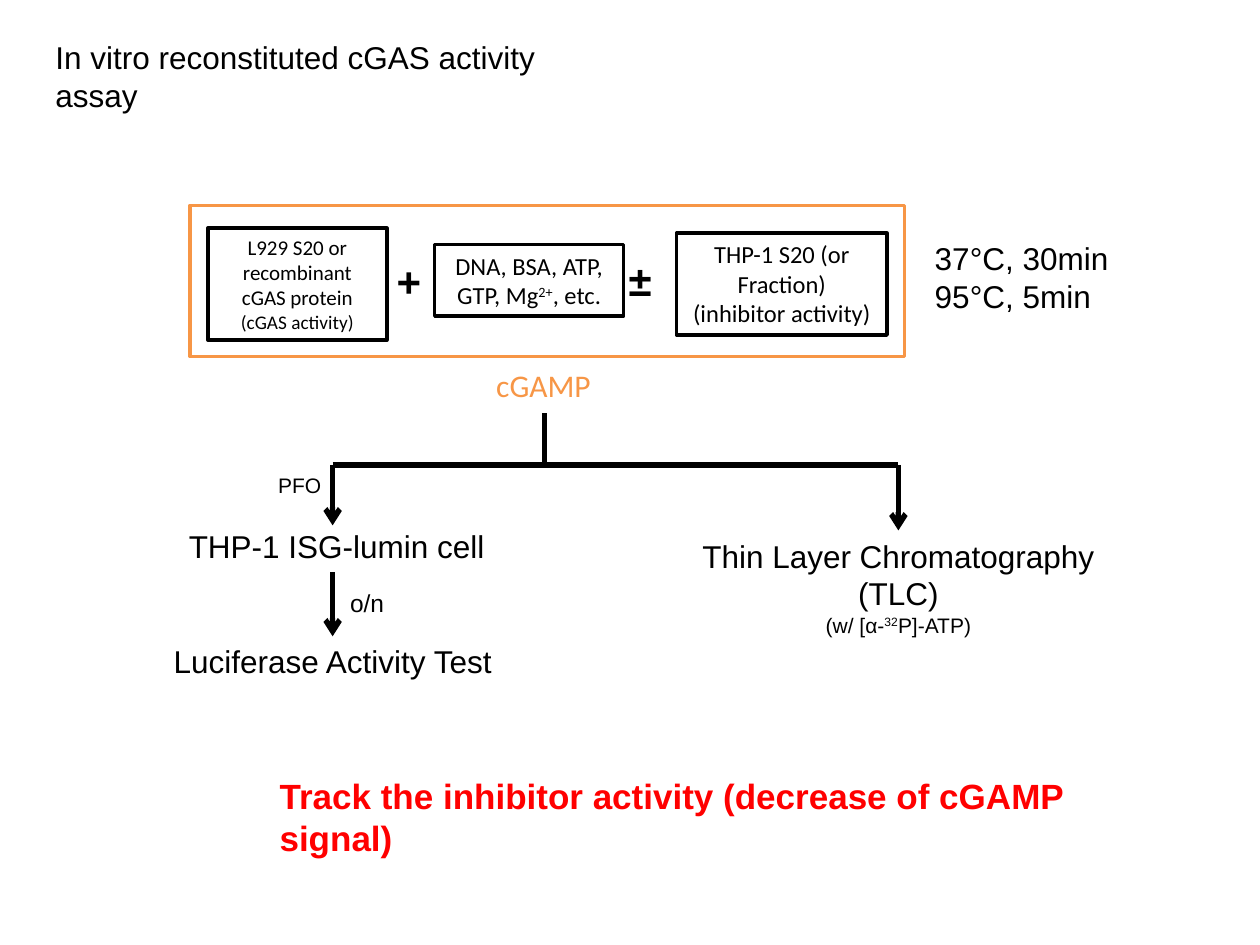
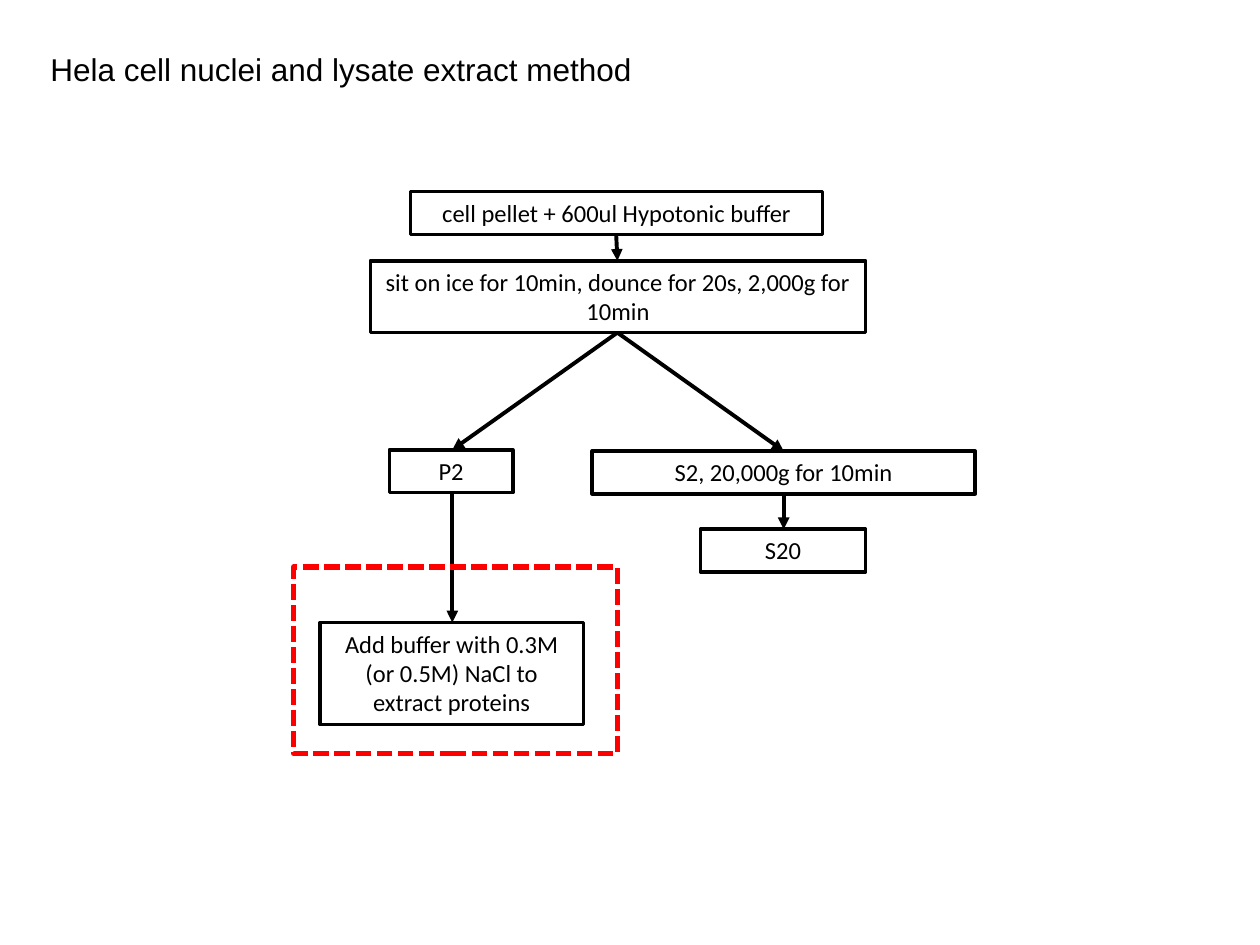
from lxml import etree
from pptx import Presentation
from pptx.dml.color import RGBColor
from pptx.enum.dml import MSO_LINE
from pptx.enum.shapes import MSO_CONNECTOR, MSO_SHAPE
from pptx.enum.text import MSO_ANCHOR, MSO_AUTO_SIZE, PP_ALIGN
from pptx.oxml.ns import qn
from pptx.util import Pt

RECTANGLE = MSO_SHAPE.RECTANGLE
STRAIGHT = MSO_CONNECTOR.STRAIGHT
DASH = MSO_LINE.SQUARE_DOT
TOP = MSO_ANCHOR.TOP
FIXED = MSO_AUTO_SIZE.NONE
LEFT, CENTER = PP_ALIGN.LEFT, PP_ALIGN.CENTER

PX = 9144  # 100 px to the inch
COLORS = {"black": "000000", "white": "FFFFFF", "orange": "F79646", "red": "FF0000"}
SUPERSCRIPT = "30000"
TITLE_ONLY = 5


def write(box, paragraphs, size=18, font="Arial", color="black", bold=False,
          align=LEFT, wrap=True):
    """Fill a box; a paragraph is a list of (text, format) spans."""
    frame = box.text_frame
    frame_format = {"word_wrap": wrap, "auto_size": FIXED, "vertical_anchor": TOP,
                    "margin_left": 10 * PX, "margin_right": 10 * PX,
                    "margin_top": 5 * PX, "margin_bottom": 5 * PX}
    for name, value in frame_format.items():
        setattr(frame, name, value)
    for index, spans in enumerate(paragraphs):
        para = frame.add_paragraph() if index else frame.paragraphs[0]
        para.alignment = align
        for text, extra in spans:
            span = para.add_run()
            span.text = text
            span_format = {"name": font, "size": Pt(extra.get("size", size)), "bold": bold}
            for name, value in span_format.items():
                setattr(span.font, name, value)
            span.font.color.rgb = RGBColor.from_string(COLORS[color])
            if "baseline" in extra:
                span.font._element.set("baseline", extra["baseline"])


def connect(page, start, end, width, head=None):
    line = page.shapes.add_connector(STRAIGHT, *[value * PX for value in start + end])
    line.line.width = Pt(width)
    line.line.color.rgb = RGBColor.from_string(COLORS["black"])
    if head:
        etree.SubElement(line.line._get_or_add_ln(), qn("a:tailEnd"), type=head)
    etree.SubElement(line._element.spPr, qn("a:effectLst"))


deck = Presentation()
deck.slide_width, deck.slide_height = 1000 * PX, 750 * PX

titles = [
    ("In vitro reconstituted cGAS activity assay", (34, 25, 441, 71)),
    ("Hela cell nuclei and lysate extract method", (30, 35, 849, 71)),
]
pages = []
for text, place in titles:
    page = deck.slides.add_slide(deck.slide_layouts[TITLE_ONLY])
    title = page.shapes.title
    title.left, title.top, title.width, title.height = [value * PX for value in place]
    write(title, [[(text, {})]])
    pages.append(page)
assay, extraction = pages

# Frames: page, place, line colour, line width, dash
frames = [
    (assay, (151, 163, 567, 120), "orange", 2, None),
    (extraction, (233, 450, 257, 148), "red", 3, DASH),
]

# Step boxes: page, place, text size, paragraphs
steps = [
    (assay, (165, 181, 142, 89), 12, [
        [("L929 S20 or recombinant cGAS protein", {})],
        [("(cGAS activity)", {"size": 11})]]),
    (assay, (345, 194, 150, 57), 14, [
        [("DNA, BSA, ATP, GTP, Mg", {}), ("2+", {"baseline": SUPERSCRIPT}), (", etc.", {})]]),
    (assay, (537, 185, 167, 81), 14, [
        [("THP-1 S20 (or Fraction)", {})],
        [("(inhibitor activity)", {})]]),
    (extraction, (326, 152, 327, 34), 14, [[("cell pellet + 600ul Hypotonic buffer", {})]]),
    (extraction, (294, 207, 393, 57), 14, [
        [("sit on ice for 10min, dounce for 20s, 2,000g for 10min", {})]]),
    (extraction, (309, 357, 98, 34), 14, [[("P2", {})]]),
    (extraction, (470, 358, 304, 34), 14, [[("S2, 20,000g for 10min", {})]]),
    (extraction, (556, 420, 131, 34), 14, [[("S20", {})]]),
    (extraction, (254, 494, 209, 81), 14, [
        [("Add buffer with 0.3M (or 0.5M) NaCl to extract proteins", {})]]),
]
outlined = [(page, place, color, width, dash, None, None)
            for page, place, color, width, dash in frames]
outlined += [(page, place, "black", 2, None, size, paragraphs)
             for page, place, size, paragraphs in steps]

# Labels on the assay page: place, paragraphs, format
labels = [
    ((305, 198, 40, 51), [[("+", {})]], {"size": 24, "bold": True, "wrap": False}),
    ((489, 197, 39, 50), [[("±", {})]], {"size": 24, "bold": True, "wrap": False}),
    ((384, 286, 107, 40), [[("cGAMP", {})]],
     {"font": "Calibri", "color": "orange", "wrap": False}),
    ((732, 185, 159, 71), [[("37°C, 30min", {})], [("95°C, 5min", {})]], {"wrap": False}),
    ((211, 370, 55, 30), [[("PFO", {})]], {"size": 12, "wrap": False}),
    ((140, 413, 249, 40), [[("THP-1 ISG-lumin cell", {})]], {"wrap": False}),
    ((268, 462, 47, 34), [[("o/n", {})]], {"size": 14, "wrap": False}),
    ((128, 505, 275, 40), [[("Luciferase Activity Test", {})]], {"wrap": False}),
    ((539, 421, 348, 91), [
        [("Thin Layer Chromatography (TLC)", {})],
        [("(w/ [α-", {"size": 12}), ("32", {"size": 12, "baseline": SUPERSCRIPT}),
         ("P]-ATP)", {"size": 12})]], {"align": CENTER}),
    ((212, 610, 648, 77),
     [[("Track the inhibitor activity (decrease of cGAMP signal)", {})]],
     {"size": 20, "color": "red", "bold": True}),
]

# Branches from cGAMP to the two read-outs
trunk, reporter, chromatography, fork = 432, 264, 713, 369
for start, end, head in [
    ((trunk, fork), (trunk, 328), None),
    ((reporter, fork), (trunk, fork), None),
    ((trunk, fork), (chromatography, fork), None),
    ((reporter, fork), (reporter, 417), "arrow"),
    ((reporter, 454), (reporter, 505), "arrow"),
    ((chromatography, fork), (chromatography, 421), "arrow"),
]:
    connect(assay, start, end, 3, head)

# Arrows between extraction steps
for start, end in [
    ((489, 185), (490, 207)),
    ((490, 264), (622, 358)),
    ((490, 264), (359, 357)),
    ((359, 391), (359, 494)),
    ((622, 391), (622, 420)),
]:
    connect(extraction, start, end, 2.25, "triangle")

for page, place, color, width, dash, size, paragraphs in outlined:
    box = page.shapes.add_shape(RECTANGLE, *[value * PX for value in place])
    box.shadow.inherit = False
    box.line.color.rgb = RGBColor.from_string(COLORS[color])
    box.line.width = Pt(width)
    if dash:
        box.line.dash_style = dash
    if paragraphs:
        box.fill.solid()
        box.fill.fore_color.rgb = RGBColor.from_string(COLORS["white"])
        write(box, paragraphs, size, "Calibri", align=CENTER)
    else:
        box.fill.background()

for place, paragraphs, text_format in labels:
    label = assay.shapes.add_textbox(*[value * PX for value in place])
    write(label, paragraphs, **text_format)

deck.save("out.pptx")
